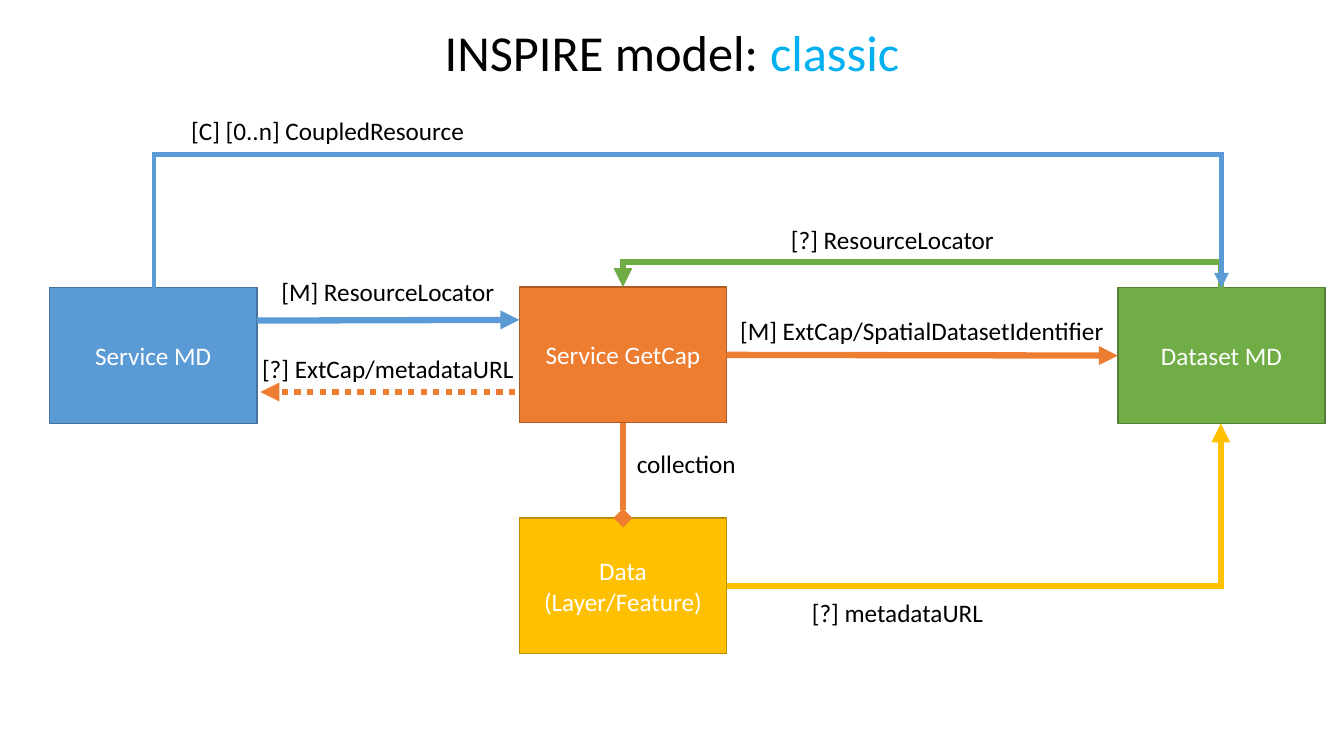
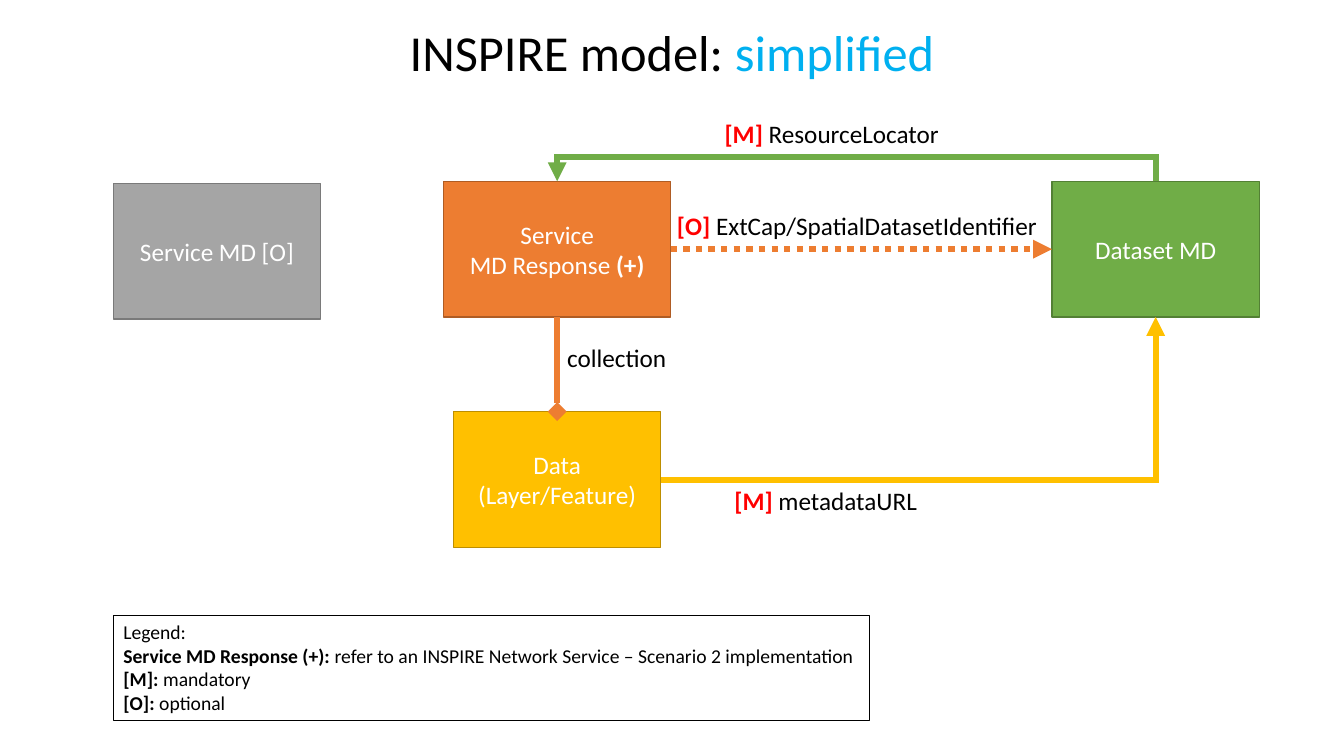
from dataclasses import dataclass

from lxml import etree
from pptx import Presentation
from pptx.dml.color import RGBColor
from pptx.enum.dml import MSO_LINE
from pptx.enum.shapes import MSO_CONNECTOR, MSO_SHAPE
from pptx.enum.text import MSO_ANCHOR, PP_ALIGN
from pptx.oxml.ns import qn
from pptx.util import Pt

RECTANGLE = MSO_SHAPE.RECTANGLE
STRAIGHT = MSO_CONNECTOR.STRAIGHT
DOTTED = MSO_LINE.ROUND_DOT
SOLID = MSO_LINE.SOLID
LEFT, CENTER = PP_ALIGN.LEFT, PP_ALIGN.CENTER
TOP, MIDDLE = MSO_ANCHOR.TOP, MSO_ANCHOR.MIDDLE
TITLE_ONLY = 5


@dataclass(frozen=True)
class Theme:
    font: str = "Calibri"
    title_size: int = 36
    text_size: int = 18
    legend_size: int = 14
    black: str = "000000"
    white: str = "FFFFFF"
    accent: str = "00B0F0"
    mark: str = "FF0000"
    blue: str = "5B9BD5"
    orange: str = "ED7D31"
    green: str = "70AD47"
    yellow: str = "FFC000"
    gray: str = "A5A5A5"


theme = Theme()
BORDERS = {theme.blue: "43739E", theme.orange: "AF5C24", theme.green: "538035",
           theme.yellow: "BD8E00", theme.gray: "7A7A7A"}
BOX_WIDTH, BOX_HEIGHT = 148, 97
LABEL_HEIGHT = 29


def write_text(frame, text, *, size=theme.text_size, color=theme.black, align=CENTER,
               anchor=TOP, wrap=False, mark_color=None, mark_bold=True):
    """Write one paragraph per line; parts between ** take the mark format."""
    frame.word_wrap = wrap
    frame.vertical_anchor = anchor
    for index, line in enumerate(text.split("\n")):
        paragraph = frame.add_paragraph() if index else frame.paragraphs[0]
        paragraph.alignment = align
        for position, part in enumerate(line.split("**")):
            if not part:
                continue
            marked = position % 2 == 1
            run = paragraph.add_run()
            run.text = part
            run.font.name = theme.font
            run.font.size = Pt(size)
            run.font.bold = marked and mark_bold
            run.font.color.rgb = RGBColor.from_string(
                mark_color if marked and mark_color else color)


def draw_arrow(shapes, points, color, width=4.5, head="triangle", dash=SOLID):
    """Draw a straight connector, or an open outline when the route has corners."""
    corners = [(Pt(x), Pt(y)) for x, y in points]
    if len(corners) == 2:
        arrow = shapes.add_connector(STRAIGHT, *corners[0], *corners[1])
    else:
        builder = shapes.build_freeform(*corners[0])
        builder.add_line_segments(corners[1:], close=False)
        arrow = builder.convert_to_shape()
        arrow.fill.background()
    arrow.line.color.rgb = RGBColor.from_string(color)
    arrow.line.width = Pt(width)
    arrow.line.dash_style = dash
    properties = arrow._element.spPr
    line = properties.find(qn("a:ln"))
    etree.SubElement(line, qn("a:miter"), lim="800000")
    etree.SubElement(line, qn("a:tailEnd"), type=head)
    etree.SubElement(properties, qn("a:effectLst"))


# Boxes: text, left, top, width, colour
# Arrows: route, colour, then optional format
# Labels: text, left, top, width
MODELS = [
    {
        "title": "INSPIRE model: **classic**",
        "label_align": CENTER,
        "boxes": [
            ("Service MD", 35.5, 205.5, BOX_WIDTH, theme.blue),
            ("Service GetCap", 371, 205, BOX_WIDTH, theme.orange),
            ("Data (Layer/Feature)", 371, 370, BOX_WIDTH, theme.yellow),
            ("Dataset MD", 798.5, 205.5, BOX_WIDTH, theme.green),
        ],
        "arrows": [
            ([(183.5, 229), (371, 228.5)], theme.blue, {}),
            ([(519, 253.5), (798.5, 254)], theme.orange, {}),
            ([(872, 205.5), (872, 187), (445, 187), (445, 205)], theme.green, {}),
            ([(445, 302), (445, 370)], theme.orange, {"head": "diamond"}),
            ([(519, 418.5), (872, 418.5), (872, 302.5)], theme.yellow, {}),
            ([(110, 205.5), (110, 110.5), (872.5, 110.5), (872.5, 205.5)],
             theme.blue, {"width": 3.5}),
            ([(368, 280), (186, 280)], theme.orange, {"dash": DOTTED}),
        ],
        "labels": [
            ("[C] [0..n] CoupledResource", 128, 79, 212),
            ("[?] ResourceLocator", 557, 156.5, 161),
            ("[M] ResourceLocator", 186, 194, 182),
            ("[?] ExtCap/metadataURL", 175.5, 248.5, 203),
            ("[M] ExtCap/SpatialDatasetIdentifier", 518.5, 222, 280),
            ("collection", 447, 317, 86.5),
            ("[?] metadataURL", 564, 423, 154),
        ],
        "legend": None,
    },
    {
        "title": "INSPIRE model: **simplified**",
        "label_align": LEFT,
        "boxes": [
            ("Service MD [O]", 81, 131, BOX_WIDTH, theme.gray),
            ("Service\nMD Response **(+)**", 317, 129.5, 162, theme.orange),
            ("Data (Layer/Feature)", 324, 294, BOX_WIDTH, theme.yellow),
            ("Dataset MD", 751.5, 129.5, BOX_WIDTH, theme.green),
        ],
        "arrows": [
            ([(479, 178), (751.5, 178)], theme.orange, {"dash": DOTTED}),
            ([(825.5, 129.5), (825.5, 112), (398, 112), (398, 129.5)], theme.green, {}),
            ([(398, 226.5), (398, 294)], theme.orange, {"head": "diamond"}),
            ([(472, 343), (825.5, 343), (825.5, 226.5)], theme.yellow, {}),
        ],
        "labels": [
            ("**[M] **ResourceLocator", 510.5, 81, 168.5),
            ("**[O] **ExtCap/SpatialDatasetIdentifier", 476.5, 146.5, 277),
            ("collection", 398, 241, 86.5),
            ("**[M] **metadataURL", 517.5, 343, 145.5),
        ],
        "legend": "Legend:\n"
                  "**Service MD Response (+):** refer to an INSPIRE Network Service"
                  " – Scenario 2 implementation\n"
                  "**[M]: **mandatory\n"
                  "**[O]:** optional",
    },
]

# Page size and shared title position
presentation = Presentation()
presentation.slide_width, presentation.slide_height = Pt(960), Pt(540)
layout = presentation.slide_layouts[TITLE_ONLY]
layout_title = layout.placeholders[0]
layout_title.left, layout_title.top = Pt(0), Pt(11)
layout_title.width, layout_title.height = Pt(960), Pt(51)

for model in MODELS:
    slide = presentation.slides.add_slide(layout)
    shapes = slide.shapes

    # Title
    write_text(shapes.title.text_frame, model["title"], size=theme.title_size,
               anchor=MIDDLE, mark_color=theme.accent, mark_bold=False)

    # Boxes
    for text, left, top, width, color in model["boxes"]:
        box = shapes.add_shape(RECTANGLE, Pt(left), Pt(top), Pt(width), Pt(BOX_HEIGHT))
        box.shadow.inherit = False
        box.fill.solid()
        box.fill.fore_color.rgb = RGBColor.from_string(color)
        box.line.color.rgb = RGBColor.from_string(BORDERS[color])
        box.line.width = Pt(1)
        write_text(box.text_frame, text, color=theme.white, anchor=MIDDLE, wrap=True)

    # Arrows
    for route, color, line_format in model["arrows"]:
        draw_arrow(shapes, route, color, **line_format)

    # Labels
    for text, left, top, width in model["labels"]:
        label = shapes.add_textbox(Pt(left), Pt(top), Pt(width), Pt(LABEL_HEIGHT))
        write_text(label.text_frame, text, align=model["label_align"],
                   mark_color=theme.mark)

    # Legend
    if model["legend"]:
        legend = shapes.add_textbox(Pt(81), Pt(439.5), Pt(540), Pt(75))
        legend.fill.solid()
        legend.fill.fore_color.rgb = RGBColor.from_string(theme.white)
        legend.line.color.rgb = RGBColor.from_string(theme.black)
        legend.line.width = Pt(1)
        write_text(legend.text_frame, model["legend"], size=theme.legend_size, align=LEFT)

presentation.save("out.pptx")
